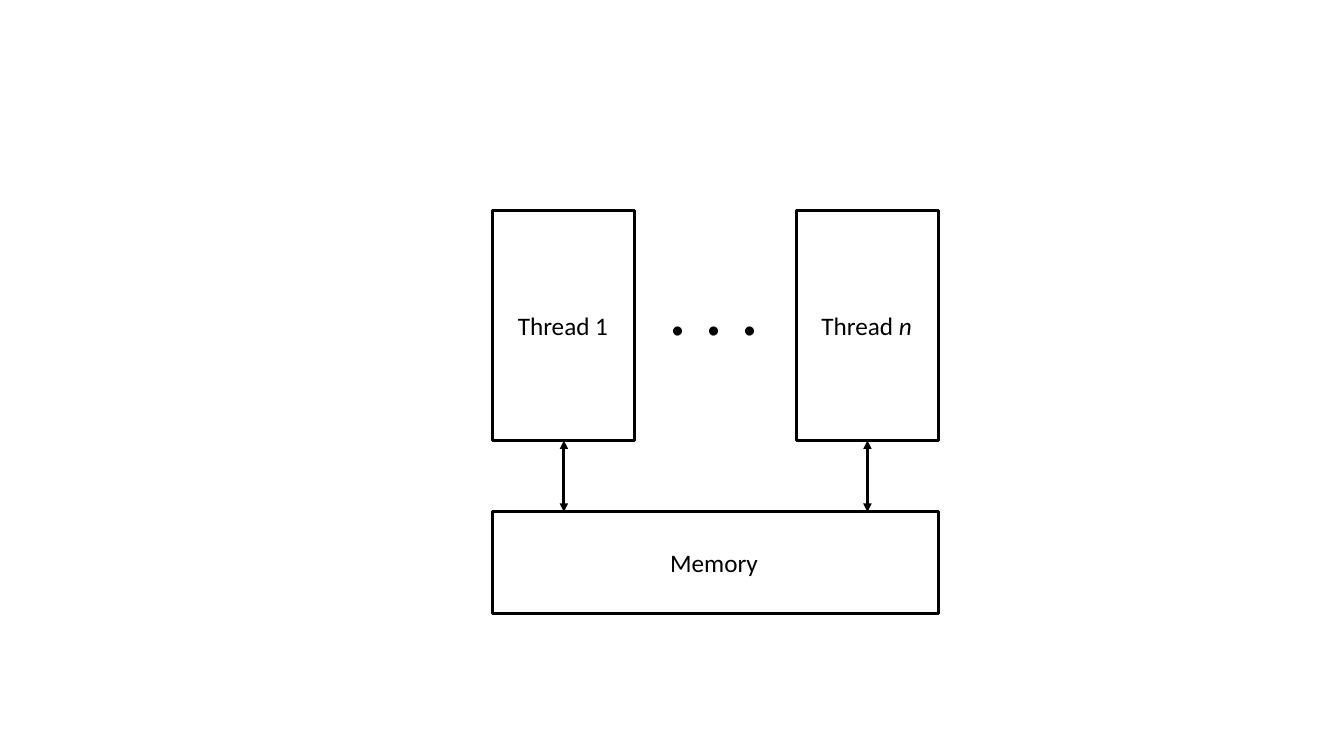
from lxml import etree
from pptx import Presentation
from pptx import util as u
from pptx.dml.color import RGBColor
from pptx.enum import shapes, text
from pptx.oxml import ns

COLOURS = {"ink": "000000"}
FONT = "Calibri"
LINE_WIDTH = u.Pt(2)

THREAD_TOP, THREAD_WIDTH, THREAD_HEIGHT = 5.31, 3.58, 5.79
THREAD_LEFTS = (12.42, 20.07)
MEMORY_TOP, MEMORY_HEIGHT = 12.9, 2.57


def ink():
    return RGBColor.from_string(COLOURS["ink"])


def style_line(line):
    line.color.rgb = ink()
    line.width = LINE_WIDTH


def add_frame(page, left, top, width, height):
    frame = page.shapes.add_shape(
        shapes.MSO_SHAPE.RECTANGLE, u.Cm(left), u.Cm(top), u.Cm(width), u.Cm(height))
    frame.shadow.inherit = False
    frame.fill.background()
    style_line(frame.line)


def add_label(page, left, top, width, height, spans, size=18):
    box = page.shapes.add_textbox(u.Cm(left), u.Cm(top), u.Cm(width), u.Cm(height))
    box.text_frame.word_wrap = False
    box.text_frame.auto_size = text.MSO_AUTO_SIZE.SHAPE_TO_FIT_TEXT
    para = box.text_frame.paragraphs[0]
    for words, italic in spans:
        span = para.add_run()
        span.text = words
        span.font.name = FONT
        span.font.size = u.Pt(size)
        span.font.italic = italic
        span.font.color.rgb = ink()


def add_double_arrow(page, x, top, bottom):
    arrow = page.shapes.add_connector(
        shapes.MSO_CONNECTOR.STRAIGHT, u.Cm(x), u.Cm(top), u.Cm(x), u.Cm(bottom))
    style_line(arrow.line)
    outline = arrow.line._get_or_add_ln()
    for end in ("a:headEnd", "a:tailEnd"):
        etree.SubElement(outline, ns.qn(end), type="triangle")
    etree.SubElement(arrow._element.spPr, ns.qn("a:effectLst"))


def add_thread(page, left, number, italic):
    add_frame(page, left, THREAD_TOP, THREAD_WIDTH, THREAD_HEIGHT)
    add_label(page, left + 0.38, 7.7, 2.82, 1.02,
              [("Thread ", False), (number, italic)])
    add_double_arrow(page, left + THREAD_WIDTH / 2,
                     THREAD_TOP + THREAD_HEIGHT, MEMORY_TOP)


def main():
    deck = Presentation()
    deck.slide_width, deck.slide_height = u.Cm(33.87), u.Cm(19.05)
    page = deck.slides.add_slide(deck.slide_layouts[6])

    first, last = THREAD_LEFTS
    add_thread(page, first, "1", False)
    add_thread(page, last, "n", True)
    add_label(page, 16.59, 6.43, 2.84, 2.57, [(". . .", False)], size=54)
    add_frame(page, first, MEMORY_TOP, last + THREAD_WIDTH - first, MEMORY_HEIGHT)
    add_label(page, 16.64, 13.67, 2.74, 1.02, [("Memory", False)])

    deck.save("out.pptx")


if __name__ == "__main__":
    main()
